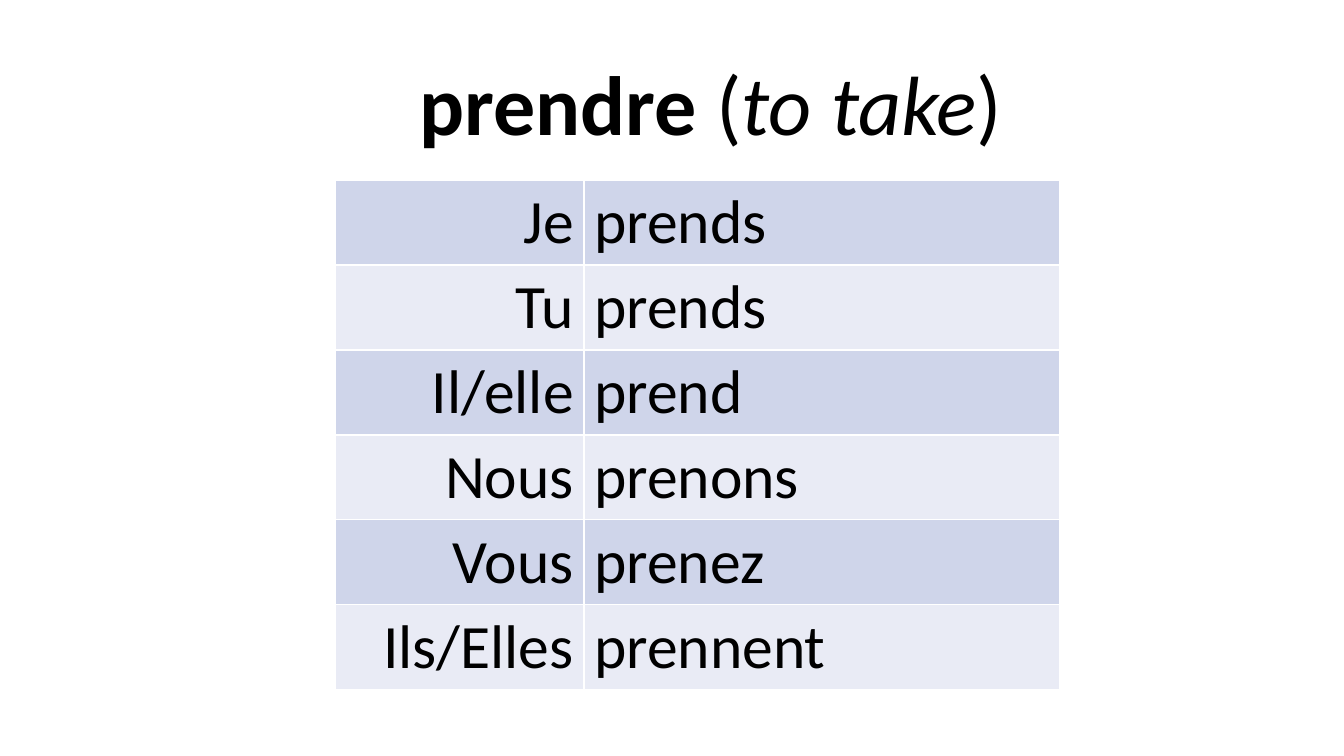
from lxml.etree import SubElement
from pptx import Presentation
from pptx.dml.color import RGBColor
from pptx.enum.text import MSO_ANCHOR as Anchor, PP_ALIGN as Align
from pptx.oxml.ns import qn
from pptx.util import Pt

TITLE = [("prendre", True, False), (" (", False, False),
         ("to take", False, True), (")", False, False)]
VERBS = [("Je", "prends"), ("Tu", "prends"), ("Il/elle", "prend"),
         ("Nous", "prenons"), ("Vous", "prenez"), ("Ils/Elles", "prennent")]
BANDS = ["CFD5EA", "E9EBF5"]
BLACK, WHITE = "000000", "FFFFFF"
COLS = [249, 476]
ROW = 85
ALIGNS = [Align.RIGHT, Align.LEFT]


def px(n):
    return round(n * 914400 / 100.8)


def color(code):
    return RGBColor.from_string(code)


def style(font, size):
    font.name, font.size = "Calibri", Pt(size)
    font.color.rgb = color(BLACK)


def border(cell):
    props = cell._tc.get_or_add_tcPr()
    for i, side in enumerate(("lnL", "lnR", "lnT", "lnB")):
        line = props.makeelement(qn("a:" + side), {"w": str(Pt(1))})
        fill = SubElement(line, qn("a:solidFill"))
        SubElement(fill, qn("a:srgbClr"), val=WHITE)
        props.insert(i, line)


def add_title(slide):
    box = slide.shapes.add_textbox(px(168), px(44), px(1086), px(115))
    frame = box.text_frame
    frame.word_wrap = True
    frame.vertical_anchor = Anchor.BOTTOM
    para = frame.paragraphs[0]
    para.alignment, para.line_spacing = Align.CENTER, 0.9
    style(para.font, 60)
    for text, bold, italic in TITLE:
        run = para.add_run()
        run.text = text
        run.font.bold, run.font.italic = bold, italic


def add_verbs(slide):
    table = slide.shapes.add_table(
        len(VERBS), len(COLS), px(335), px(180),
        px(sum(COLS)), px(ROW * len(VERBS))).table
    table.first_row = table.horz_banding = False
    for col, width in zip(table.columns, COLS):
        col.width = px(width)
    for r, words in enumerate(VERBS):
        table.rows[r].height = px(ROW)
        for c, word in enumerate(words):
            cell = table.cell(r, c)
            cell.text = word
            cell.fill.solid()
            cell.fill.fore_color.rgb = color(BANDS[r % 2])
            border(cell)
            para = cell.text_frame.paragraphs[0]
            para.alignment = ALIGNS[c]
            style(para.font, 44)


def main():
    deck = Presentation()
    deck.slide_width, deck.slide_height = px(1344), px(756)
    slide = deck.slides.add_slide(deck.slide_layouts[6])
    add_title(slide)
    add_verbs(slide)
    deck.save("out.pptx")


if __name__ == "__main__":
    main()
